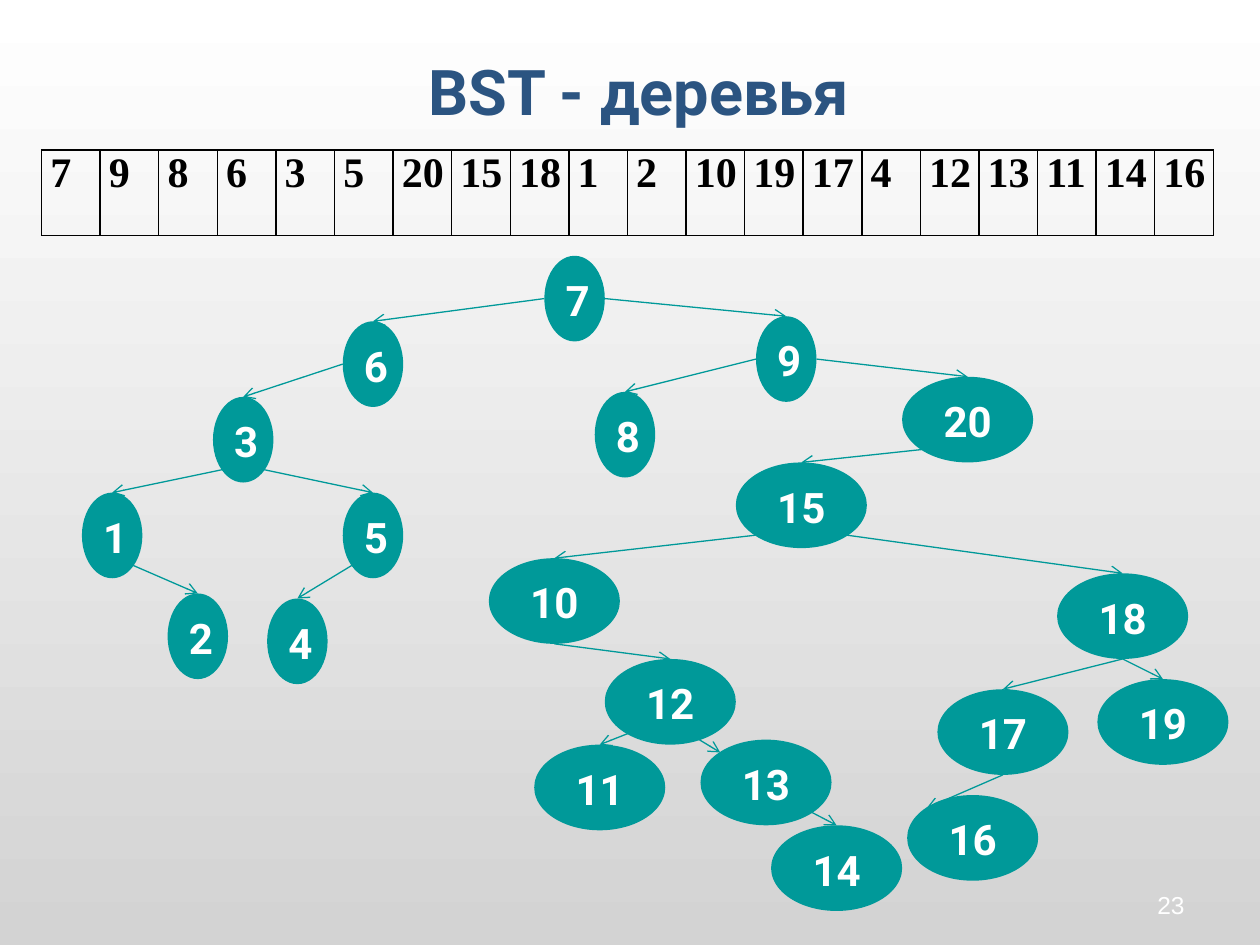
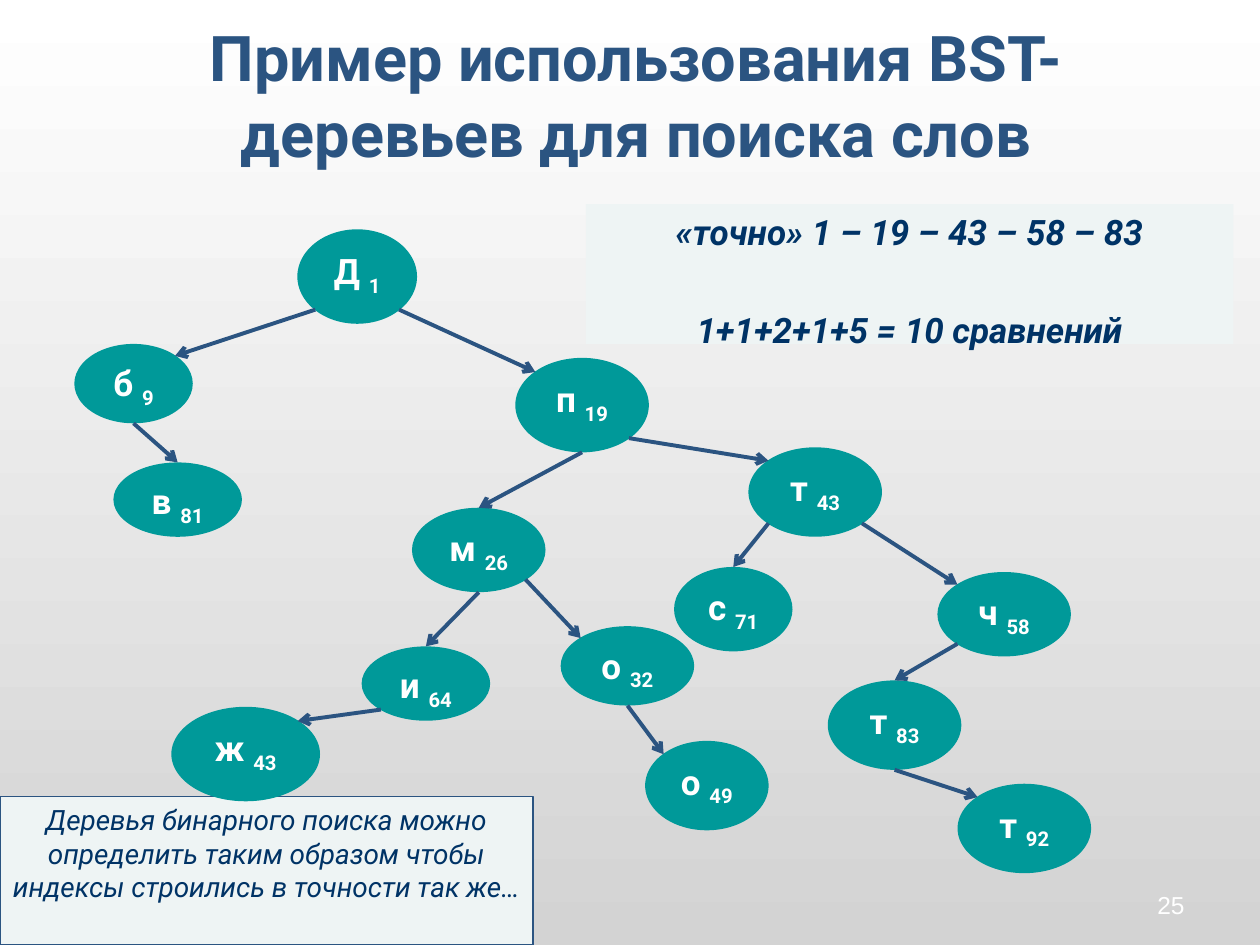
from pptx import Presentation
from pptx.dml.color import RGBColor
from pptx.enum.shapes import MSO_CONNECTOR as Connector, MSO_SHAPE as Shape
from pptx.enum.text import MSO_ANCHOR as Anchor, PP_ALIGN as Align
from pptx.oxml.ns import qn
from pptx.util import Inches, Pt
from lxml.etree import SubElement

TEAL, NAVY, INK, PALE = "009999", "2B5481", "003366", "EEF4F4"
WHITE, BLACK, GREY = "FFFFFF", "000000", "D3D3D3"
HEADING_FONT = "Roboto"

INSERTED = [7, 9, 8, 6, 3, 5, 20, 15, 18, 1, 2, 10, 19, 17, 4, 12, 13, 11, 14, 16]
NUMBER_PLACES = {
    7: (4.32, 2.03), 9: (6, 2.51), 8: (4.72, 3.11), 6: (2.72, 2.55),
    3: (1.69, 3.15), 5: (2.72, 3.91), 20: (7.16, 2.99), 15: (5.84, 3.67),
    18: (8.39, 4.55), 1: (0.65, 3.91), 2: (1.33, 4.71), 10: (3.88, 4.43),
    19: (8.71, 5.39), 17: (7.44, 5.47), 4: (2.12, 4.75), 12: (4.8, 5.23),
    13: (5.56, 5.87), 11: (4.24, 5.91), 14: (6.12, 6.55), 16: (7.2, 6.31),
}
NUMBER_EDGES = [
    (7, "right", 9, "top"), (9, "left", 8, "top"), (7, "left", 6, "top"),
    (6, "left", 3, "top"), (3, "bottom right", 5, "top"), (9, "right", 20, "top"),
    (20, "bottom left", 15, "top"), (15, "bottom right", 18, "top"),
    (3, "bottom left", 1, "top"), (1, "bottom right", 2, "top"),
    (15, "bottom left", 10, "top"), (18, "bottom", 19, "top"),
    (18, "bottom", 17, "top"), (5, "bottom left", 4, "top"),
    (10, "bottom", 12, "top"), (12, "inside", 13, "top left"),
    (12, "inside", 11, "top"), (13, "bottom right", 14, "top"),
    (17, "bottom", 16, "top left"),
]
LETTER_NODES = {
    "Д 1": (2.36, 1.82, 0.95, 0.75), "б 9": (0.59, 2.73, 0.94, 0.63),
    "п 19": (4.09, 2.84, 1.06, 0.75), "м 26": (3.27, 4.03, 1.06, 0.67),
    "о 32": (4.45, 4.97, 1.06, 0.63), "т 43": (5.94, 3.55, 1.06, 0.71),
    "о 49": (5.12, 5.88, 0.98, 0.71), "ч 58": (7.44, 4.54, 1.06, 0.67),
    "и 64": (2.87, 5.13, 1.02, 0.59), "с 71": (5.35, 4.5, 0.94, 0.67),
    "в 81": (0.9, 3.67, 1.02, 0.59), "т 83": (6.57, 5.4, 1.06, 0.71),
    "т 92": (7.6, 6.22, 1.06, 0.71), "ж 43": (1.36, 5.61, 1.18, 0.75),
}
LETTER_EDGES = [
    ("Д 1", "bottom left", "б 9", "top right"), ("Д 1", "bottom right", "п 19", "top left"),
    ("п 19", "bottom", "м 26", "top"), ("м 26", "bottom right", "о 32", "top left"),
    ("п 19", "bottom right", "т 43", "top left"), ("о 32", "bottom", "о 49", "top left"),
    ("т 43", "bottom right", "ч 58", "top left"), ("м 26", "bottom", "и 64", "top"),
    ("т 43", "bottom left", "с 71", "top"), ("б 9", "bottom", "в 81", "top"),
    ("ч 58", "bottom left", "т 83", "top"), ("т 83", "bottom", "т 92", "top left"),
    ("и 64", "bottom left", "ж 43", "top right"),
]
NOTE = ("Деревья бинарного поиска можно определить таким образом "
        "чтобы индексы строились в точности так же…")
SEARCH = ["«точно» 1 – 19 – 43 – 58 – 83", "1+1+2+1+5 = 10 сравнений"]

DIAGONAL = 0.35
SITES = {
    "top": (0, -0.5), "bottom": (0, 0.5), "left": (-0.5, 0), "right": (0.5, 0),
    "top left": (-DIAGONAL, -DIAGONAL), "top right": (DIAGONAL, -DIAGONAL),
    "bottom left": (-DIAGONAL, DIAGONAL), "bottom right": (DIAGONAL, DIAGONAL),
    "inside": (-0.04, 0.2),
}


def color(value):
    return RGBColor.from_string(value)


def set_font(paragraph, size, ink, name=HEADING_FONT, bold=False, italic=False):
    font = paragraph.font
    font.name, font.size, font.bold, font.italic = name, Pt(size), bold, italic
    font.color.rgb = color(ink)


def add_text(page, place, text, size, ink, align, anchor, **style):
    box = page.shapes.add_textbox(*map(Inches, place))
    frame = box.text_frame
    frame.word_wrap = True
    frame.vertical_anchor = anchor
    para = frame.paragraphs[0]
    para.text = text
    para.alignment = align
    set_font(para, size, ink, **style)


def add_filled(page, kind, place, fill, line=None):
    shape = page.shapes.add_shape(kind, *map(Inches, place))
    shape.shadow.inherit = False
    shape.fill.solid()
    shape.fill.fore_color.rgb = color(fill)
    if line:
        shape.line.color.rgb = color(line)
        shape.line.width = Pt(0.75)
    else:
        shape.line.fill.background()
    frame = shape.text_frame
    frame.word_wrap = True
    frame.vertical_anchor = Anchor.TOP
    frame.paragraphs[0].alignment = Align.CENTER
    return frame


def add_panel(page, place, lines, size, bold=False, line=None):
    frame = add_filled(page, Shape.RECTANGLE, place, PALE, line)
    for index, text in enumerate(lines):
        para = frame.add_paragraph() if index else frame.paragraphs[0]
        para.text = text
        para.alignment = Align.CENTER
        if index:
            para.space_before = Pt(32)
        set_font(para, size, INK, bold=bold, italic=True)


def add_node(page, label, place, size):
    para = add_filled(page, Shape.OVAL, place, TEAL).paragraphs[0]
    set_font(para, size, WHITE, bold=True)
    letter, gap, index = str(label).partition(" ")
    para.add_run().text = letter + gap
    if index:
        span = para.add_run()
        span.text = index
        span._r.get_or_add_rPr().set("baseline", "-25000")


def site_point(place, site):
    left, top, width, height = place
    across, down = SITES[site]
    return Inches(left + width * (0.5 + across)), Inches(top + height * (0.5 + down))


def add_arrow(page, start, end, ink, width):
    arrow = page.shapes.add_connector(Connector.STRAIGHT, *start, *end)
    arrow.line.color.rgb = color(ink)
    arrow.line.width = Pt(width)
    SubElement(arrow.line._get_or_add_ln(), qn("a:tailEnd"), type="arrow")
    SubElement(arrow._element.spPr, qn("a:effectLst"))


def add_tree(page, nodes, edges, size, ink, width):
    for label, place in nodes.items():
        add_node(page, label, place, size)
    for parent, leaving, child, entering in edges:
        add_arrow(page, site_point(nodes[parent], leaving),
                  site_point(nodes[child], entering), ink, width)


def add_border(cell):
    properties = cell._tc.get_or_add_tcPr()
    for side in ("lnL", "lnR", "lnT", "lnB"):
        line = SubElement(properties, qn(f"a:{side}"), w=str(Pt(1)))
        SubElement(SubElement(line, qn("a:solidFill")), qn("a:srgbClr"), val=BLACK)


def add_number_row(page):
    place = (0.33, 1.19, 9.3, 0.68)
    table = page.shapes.add_table(1, len(INSERTED), *map(Inches, place)).table
    table.first_row = table.horz_banding = False
    for column, cell, number in zip(table.columns, table.rows[0].cells, INSERTED):
        column.width = Inches(place[2] / len(INSERTED))
        cell.margin_left = Inches(0.07)
        cell.margin_right = cell.margin_top = cell.margin_bottom = 0
        add_border(cell)
        cell.fill.background()
        para = cell.text_frame.paragraphs[0]
        para.text = str(number)
        set_font(para, 24, BLACK, name="Times New Roman", bold=True)


def add_page(deck, title, title_place, number):
    page = deck.slides.add_slide(deck.slide_layouts[6])
    add_text(page, title_place, title, 36, NAVY, Align.CENTER, Anchor.MIDDLE, bold=True)
    add_text(page, (7.17, 6.83, 2.33, 0.52), str(number), 14, WHITE,
             Align.RIGHT, Anchor.BOTTOM, name="Arial")
    return page


def set_background(deck):
    fill = deck.slide_master.background.fill
    fill.gradient()
    fill.gradient_angle = 270
    for stop, shade, position in zip(fill.gradient_stops, (WHITE, GREY), (0, 1)):
        stop.color.rgb = color(shade)
        stop.position = position


def main():
    deck = Presentation()
    deck.slide_width, deck.slide_height = Inches(10), Inches(7.5)
    set_background(deck)

    page = add_page(deck, "BST - деревья", (0.57, 0.2, 9, 1.04), 23)
    add_number_row(page)
    number_nodes = {number: (*place, 0.48 if number < 10 else 1.04, 0.68)
                    for number, place in NUMBER_PLACES.items()}
    add_tree(page, number_nodes, NUMBER_EDGES, 24, TEAL, 0.75)

    page = add_page(deck, "Пример использования BST-деревьев для поиска слов",
                    (0.55, 0.17, 9, 1.16), 25)
    add_panel(page, (0, 6.32, 4.23, 1.18), [NOTE], 16, line=NAVY)
    add_panel(page, (4.65, 1.62, 5.14, 1.11), SEARCH, 20, bold=True)
    add_tree(page, LETTER_NODES, LETTER_EDGES, 20, NAVY, 2.25)

    deck.save("out.pptx")


if __name__ == "__main__":
    main()
